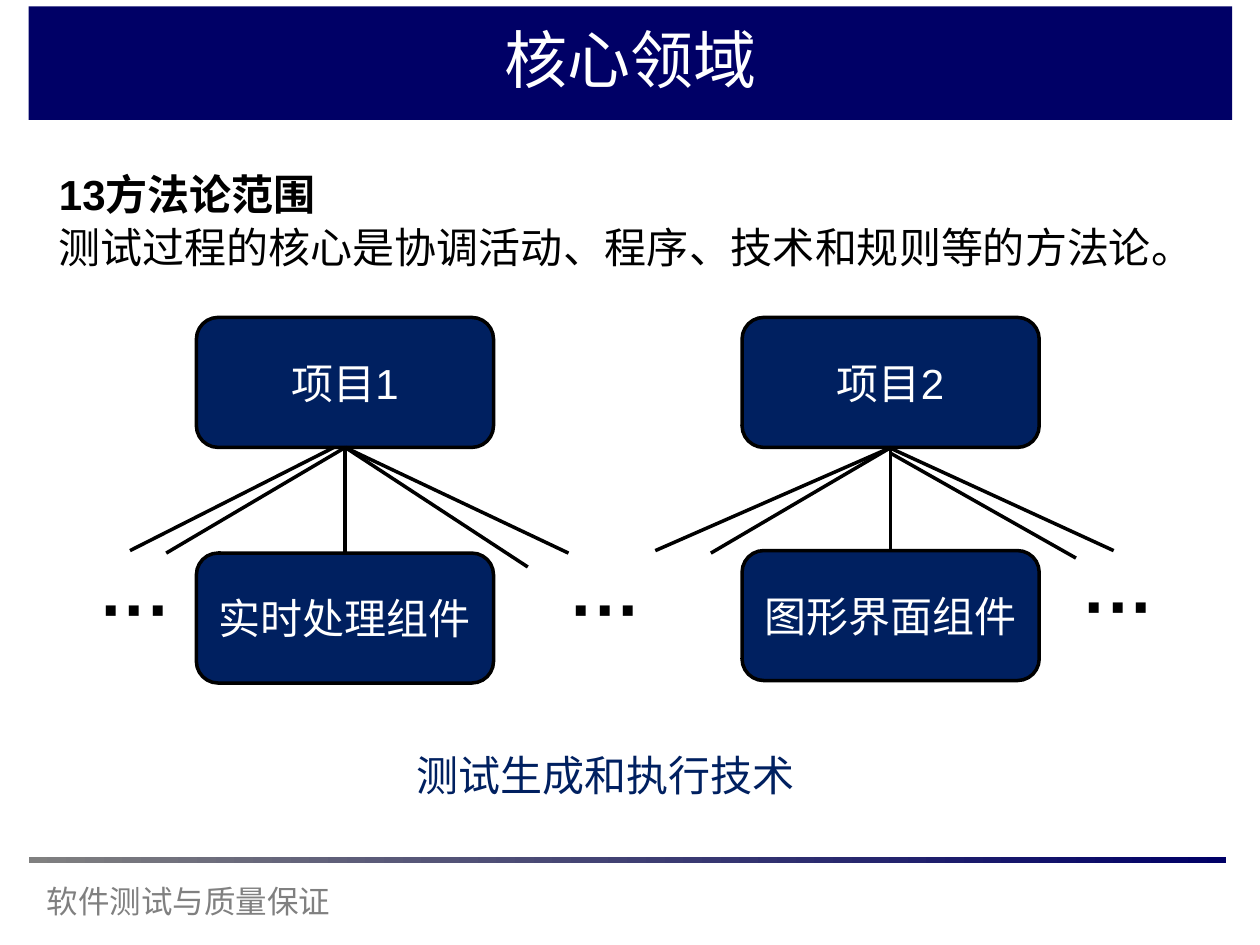
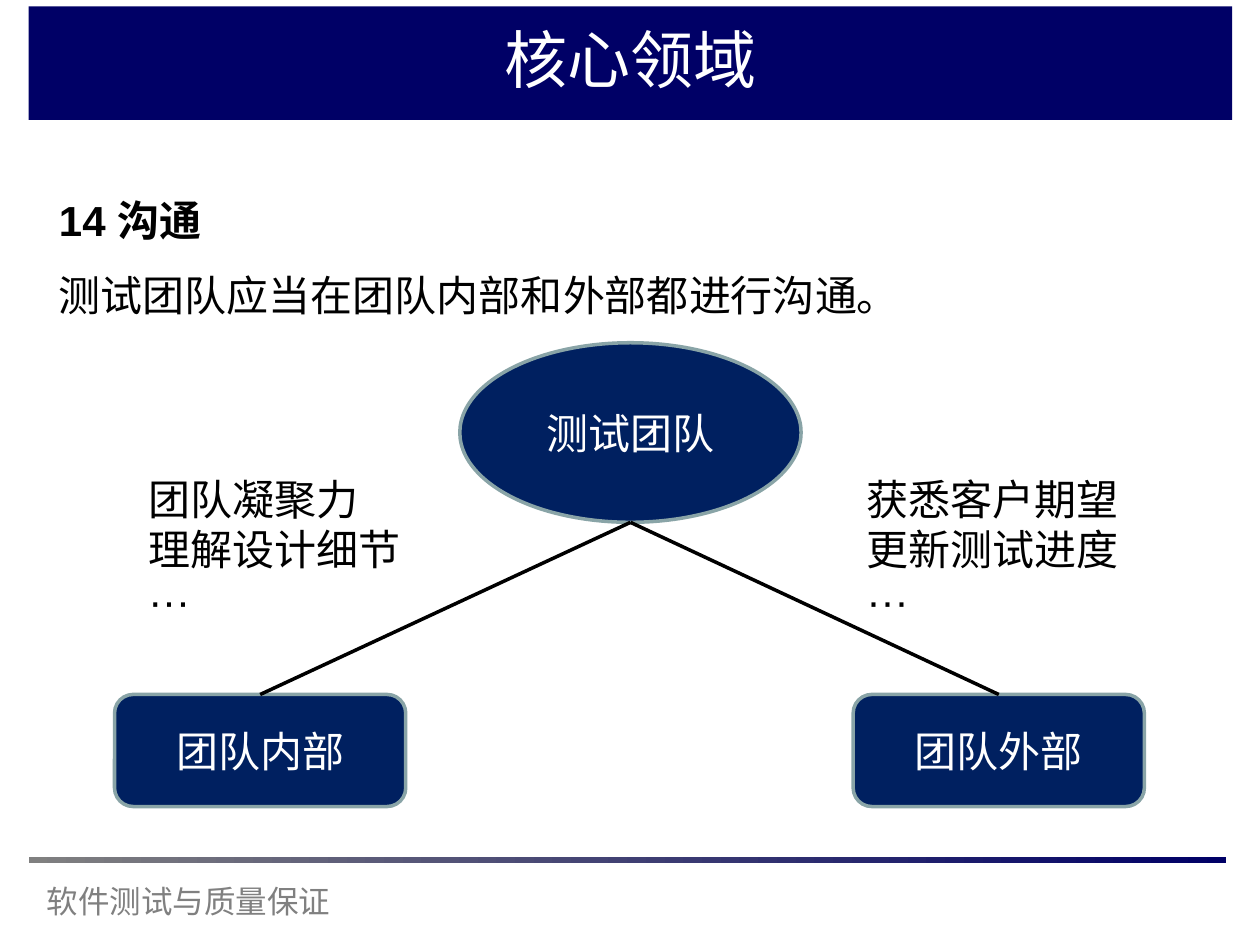
from dataclasses import dataclass
from typing import Optional, Union

from lxml.etree import SubElement
from pptx import Presentation
from pptx.dml.color import RGBColor
from pptx.enum.shapes import MSO_CONNECTOR as Link, MSO_SHAPE as Kind
from pptx.enum.text import MSO_ANCHOR as Anchor, PP_ALIGN as Align
from pptx.oxml.ns import qn
from pptx.util import Cm, Pt

NAVY = RGBColor(0x00, 0x00, 0x66)
BLUE = RGBColor(0x00, 0x20, 0x60)
GRAY = RGBColor(0x80, 0x80, 0x80)
SAGE = RGBColor(0x89, 0xA4, 0xA7)
BLACK = RGBColor(0x00, 0x00, 0x00)
WHITE = RGBColor(0xFF, 0xFF, 0xFF)
FONT = "Arial"
DOTS = "···"


# All places and sizes are in centimetres
@dataclass(frozen=True)
class Area:
    left: float
    top: float
    width: float
    height: float

    def cm(self) -> tuple:
        return Cm(self.left), Cm(self.top), Cm(self.width), Cm(self.height)

    @property
    def middle(self) -> float:
        return self.left + self.width / 2

    @property
    def bottom(self) -> float:
        return self.top + self.height


@dataclass(frozen=True)
class Line:
    text: str
    size: int = 24
    color: RGBColor = BLACK
    bold: bool = False
    align: Align = Align.LEFT
    pitch: Optional[Union[float, Pt]] = None


@dataclass(frozen=True)
class Node:
    text: str
    area: Area
    edge: RGBColor = BLACK
    kind: Kind = Kind.ROUNDED_RECTANGLE


def write(frame, lines: list[Line]) -> None:
    for i, line in enumerate(lines):
        para = frame.paragraphs[0] if i == 0 else frame.add_paragraph()
        para.alignment = line.align
        if line.pitch:
            para.line_spacing = line.pitch
        run = para.add_run()
        run.text = line.text
        font = run.font
        font.name, font.size, font.bold = FONT, Pt(line.size), line.bold
        font.color.rgb = line.color


def add_text(slide, area: Area, *lines: Line, wrap: bool = True) -> None:
    frame = slide.shapes.add_textbox(*area.cm()).text_frame
    frame.word_wrap = wrap
    write(frame, list(lines))


def add_bar(slide, area: Area):
    bar = slide.shapes.add_shape(Kind.RECTANGLE, *area.cm())
    bar.shadow.inherit = False
    bar.line.fill.background()
    bar.fill.solid()
    bar.fill.fore_color.rgb = NAVY
    return bar


def add_node(slide, node: Node) -> None:
    shape = slide.shapes.add_shape(node.kind, *node.area.cm())
    shape.shadow.inherit = False
    shape.fill.solid()
    shape.fill.fore_color.rgb = BLUE
    shape.line.color.rgb = node.edge
    shape.line.width = Pt(2)
    frame = shape.text_frame
    frame.word_wrap = True
    frame.vertical_anchor = Anchor.MIDDLE
    write(frame, [Line(node.text, color=WHITE, align=Align.CENTER)])


def add_line(slide, x: float, y: float, to_x: float, to_y: float) -> None:
    line = slide.shapes.add_connector(Link.STRAIGHT, Cm(x), Cm(y), Cm(to_x), Cm(to_y))
    line.line.color.rgb = BLACK
    line.line.width = Pt(2)
    SubElement(line._element.spPr, qn("a:effectLst"))


def add_page(deck, title: str):
    """Blank slide with the title band, rule and footer."""
    slide = deck.slides.add_slide(deck.slide_layouts[6])
    add_bar(slide, Area(0.58, 0.13, 24.26, 2.29))
    add_text(slide, Area(0.69, 17.65, 13.13, 1.02),
             Line("软件测试与质量保证", 18, GRAY))
    fill = add_bar(slide, Area(0.58, 17.27, 24.13, 0.13)).fill
    fill.gradient()
    fill.gradient_angle = 0
    for stop, color, place in zip(fill.gradient_stops, (GRAY, NAVY), (0, 1)):
        stop.color.rgb = color
        stop.position = place
    add_text(slide, Area(7.52, 0.28, 10.39, 1.78),
             Line(title, 36, WHITE, align=Align.CENTER))
    return slide


def draw_scope(deck) -> None:
    slide = add_page(deck, "核心领域")
    add_text(slide, Area(0.94, 2.77, 23.5, 3.91),
             Line("13方法论范围", bold=True, pitch=1.5),
             Line("测试过程的核心是协调活动、程序、技术和规则等的方法论。", pitch=Pt(30)))

    # Projects, each above one of its parts
    wide, high, top = 5.99, 2.62, 6.4
    trees = (
        (3.96, 11.15, "项目1", "实时处理组件"),
        (14.96, 11.1, "项目2", "图形界面组件"),
    )
    for left, low, name, part in trees:
        head = Area(left, top, wide, high)
        add_node(slide, Node(name, head))
        add_node(slide, Node(part, Area(left, low, wide, high)))
        add_line(slide, head.middle, head.bottom, head.middle, low)

    # Side rays towards the parts not shown
    rays = (
        (6.96, 9.02, 11.46, 11.15), (6.96, 9.02, 10.64, 11.43),
        (6.73, 9.02, 2.62, 11.1), (6.96, 9.02, 3.35, 11.15),
        (17.96, 9.02, 13.21, 11.1), (17.96, 9.02, 14.33, 11.15),
        (17.96, 9.04, 22.45, 11.1), (17.96, 9.14, 21.69, 11.25),
    )
    for ray in rays:
        add_line(slide, *ray)
    for left, y in ((1.8, 11.25), (11.28, 11.25), (21.62, 11.2)):
        add_text(slide, Area(left, y, 2.34, 1.96), Line(DOTS, 40, bold=True))

    add_text(slide, Area(8.15, 14.99, 12.34, 1.27),
             Line("测试生成和执行技术", color=BLUE))


def draw_talk(deck) -> None:
    slide = add_page(deck, "核心领域")
    add_text(slide, Area(0.94, 3.28, 23.5, 3.4),
             Line("14 沟通", bold=True, pitch=1.5),
             Line("测试团队应当在团队内部和外部都进行沟通。", pitch=1.5))

    # Team and its two sides
    team = Area(9.27, 6.91, 6.88, 3.62)
    add_node(slide, Node("测试团队", team, SAGE, Kind.OVAL))
    sides = (
        (2.31, 2.74, "团队内部", ("团队凝聚力", "理解设计细节", DOTS)),
        (17.2, 17.22, "团队外部", ("获悉客户期望", "更新测试进度", DOTS)),
    )
    for left, inset, name, notes in sides:
        side = Area(left, 14, 5.87, 2.26)
        add_node(slide, Node(name, side, SAGE))
        add_line(slide, team.middle, team.bottom, side.middle, side.top)
        add_text(slide, Area(inset, 9.42, 5.59, 3.3),
                 *(Line(note) for note in notes), wrap=False)


def main() -> None:
    deck = Presentation()
    deck.slide_width, deck.slide_height = Cm(25.4), Cm(19.05)
    draw_scope(deck)
    draw_talk(deck)
    deck.save("out.pptx")


if __name__ == "__main__":
    main()
